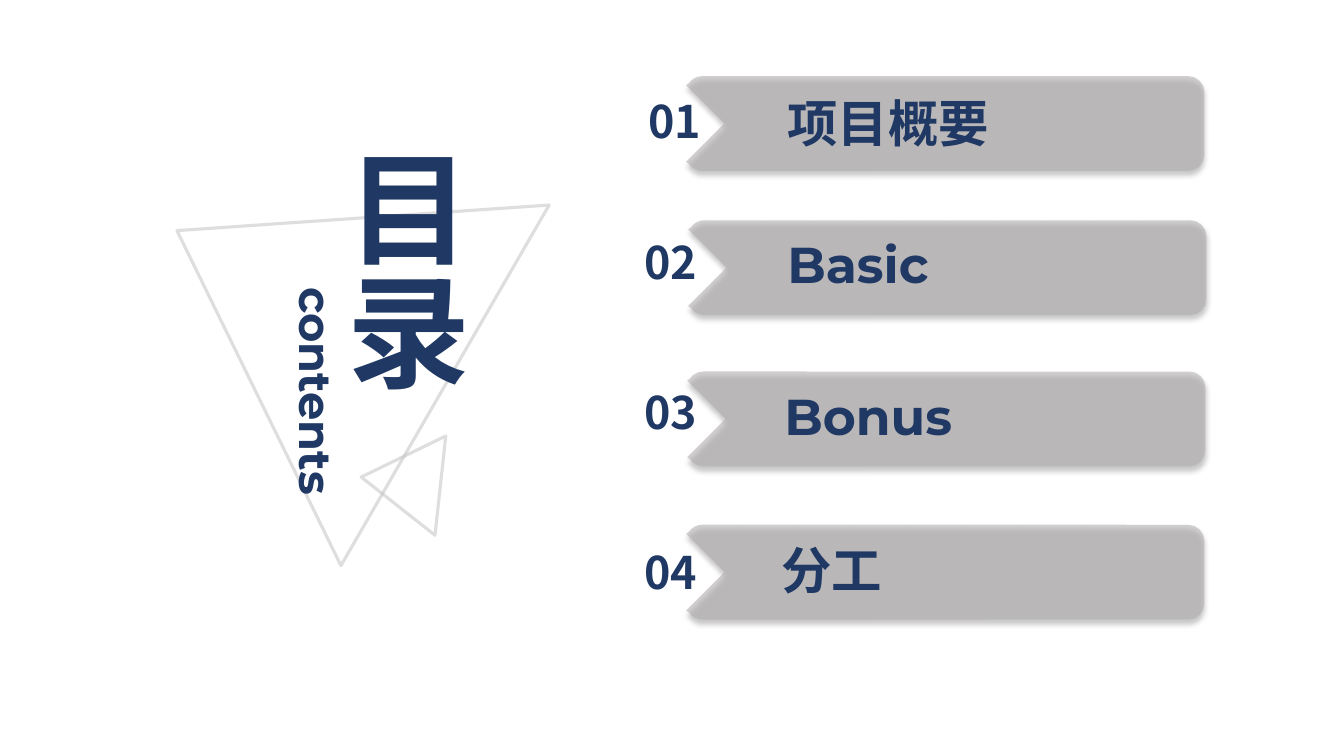
"""Build a contents slide with four numbered banners beside a vertical heading."""
import math

from lxml import etree
from pptx import Presentation
from pptx import util as u
from pptx.dml import color
from pptx.enum import shapes, text
from pptx.oxml import ns

NAVY, GREY, PALE = "203864", "AFABAB", "BFBFBF"
LATIN, CHINESE = "Montserrat", "Noto Sans CJK SC"


def paint(fill, colour, opacity=100):
    """Give a fill one solid colour and an opacity in percent."""
    fill.solid()
    fill.fore_color.rgb = color.RGBColor.from_string(colour)
    if opacity < 100:
        rgb = fill._xPr.find(ns.qn("a:solidFill")).find(ns.qn("a:srgbClr"))
        etree.SubElement(rgb, ns.qn("a:alpha")).set("val", str(opacity * 1000))


def write(words, left, top, width, height, size, font=LATIN, vertical=None, shape=None):
    """Place bold navy text in a new text box or in the given placeholder."""
    box = [u.Inches(value) for value in (left, top, width, height)]
    shape = shape or slide.shapes.add_textbox(*box)
    shape.left, shape.top, shape.width, shape.height = box
    frame = shape.text_frame
    frame.word_wrap = True
    frame.auto_size = text.MSO_AUTO_SIZE.SHAPE_TO_FIT_TEXT
    frame.vertical_anchor = text.MSO_ANCHOR.TOP
    if vertical:
        frame._txBody.bodyPr.set("vert", vertical)
    paragraph = frame.paragraphs[0]
    paragraph.alignment = text.PP_ALIGN.LEFT
    run = paragraph.add_run()
    run.text = words
    run.font.size, run.font.bold, run.font.name = u.Pt(size), True, font
    paint(run.font.fill, NAVY)
    east_asian = etree.Element(ns.qn("a:ea"), typeface=CHINESE)
    run.font._element.find(ns.qn("a:latin")).addnext(east_asian)


presentation = Presentation()
presentation.slide_width, presentation.slide_height = u.Inches(13.33), u.Inches(7.5)
slide = presentation.slides.add_slide(presentation.slide_layouts[5])

triangles = [(1.02, 1.52, 4.13, 3.07, 300), (3.48, 4.38, 0.99, 0.79, 276.2)]
for left, top, width, height, angle in triangles:
    triangle = slide.shapes.add_shape(
        shapes.MSO_SHAPE.ISOSCELES_TRIANGLE,
        u.Inches(left), u.Inches(top), u.Inches(width), u.Inches(height))
    triangle.rotation = angle
    triangle.shadow.inherit = False
    triangle.fill.background()
    triangle.line.width = u.Pt(2.25)
    paint(triangle.line.fill, PALE, 49)

title = slide.shapes.title
slide.shapes._spTree.append(title._element)
write("目录", 3.17, 1.41, 1.68, 2.83, 88, vertical="eaVert", shape=title)
write("contents", 2.72, 2.75, 0.74, 2.55, 32, vertical="vert")

half_width, half_height, radius, frame_side = 2.57, 0.47, 0.16, 4.19
corners = [(half_width - radius, radius - half_height, -90, 90),
           (half_width - radius, half_height - radius, 0, 90),
           (radius - half_width, half_height - radius, 90, 55),
           (radius - half_width, radius - half_height, 215, 55)]
outline = []
for centre_x, centre_y, start, sweep in corners:
    for step in range(5):
        turn = math.radians(start + sweep * step / 4)
        outline.append((centre_x + radius * math.cos(turn),
                        centre_y + radius * math.sin(turn)))
    if start == 90:
        outline += [(-half_width, 0.38), (0.38 - half_width, 0), (-half_width, -0.38)]
diagonal = math.sqrt(0.5)
tilted = [((x + y) * diagonal, (y - x) * diagonal) for x, y in outline]

rows = [("01", "项目概要", 7.28, -0.87, 6.33, 0.88, 7.71, 0.86),
        ("02", "Basic", 7.3, 0.56, 6.29, 2.28, 7.71, 2.26),
        ("03", "Bonus", 7.29, 2.06, 6.29, 3.77, 7.68, 3.77),
        ("04", "分工", 7.28, 3.58, 6.29, 5.35, 7.65, 5.3)]
for number, heading, left, top, number_left, number_top, heading_left, heading_top in rows:
    points = [(u.Inches(left + frame_side / 2 + x), u.Inches(top + frame_side / 2 + y))
              for x, y in tilted]
    builder = slide.shapes.build_freeform(*points[0])
    builder.add_line_segments(points[1:], close=True)
    banner = builder.convert_to_shape()
    banner.rotation = 45
    banner.line.fill.background()
    paint(banner.fill, GREY, 55)
    banner.shadow.inherit = False
    effects = banner._element.spPr.find(ns.qn("a:effectLst"))
    shadow = etree.SubElement(
        effects, ns.qn("a:outerShdw"), blurRad=str(u.Pt(4)), dist=str(u.Pt(3)),
        dir="5400000", algn="t", rotWithShape="0")
    black = etree.SubElement(shadow, ns.qn("a:srgbClr"), val="000000")
    etree.SubElement(black, ns.qn("a:alpha"), val="40000")
    write(number, number_left, number_top, 0.84, 0.64, 32, font=CHINESE)
    write(heading, heading_left, heading_top, 3.38, 0.71, 36)

presentation.save("out.pptx")
